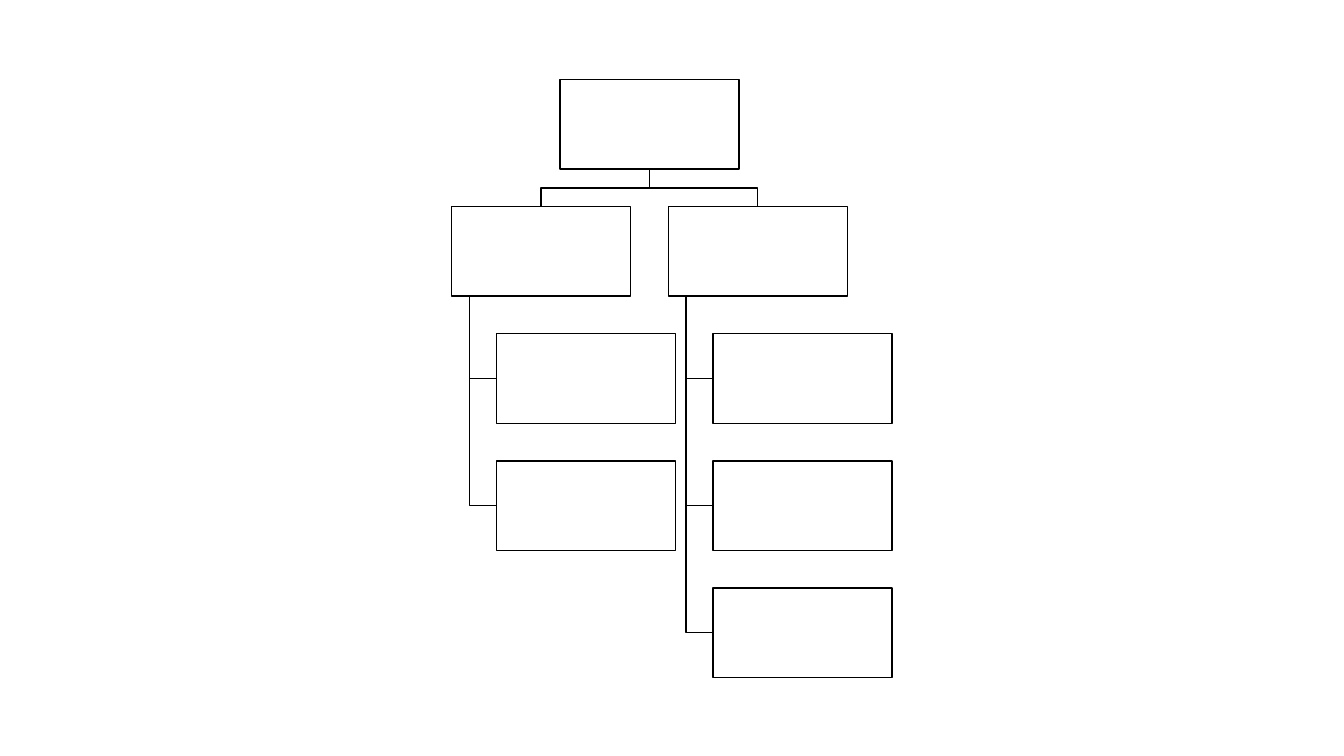
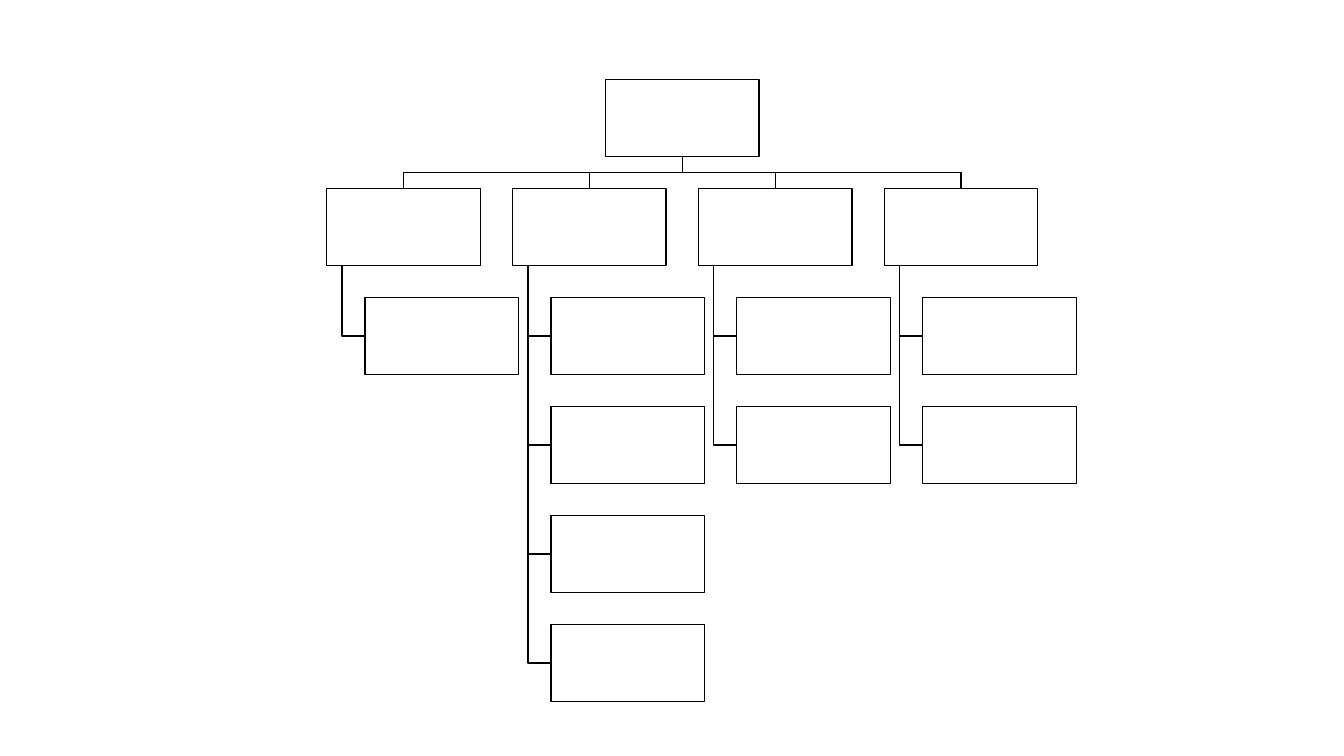
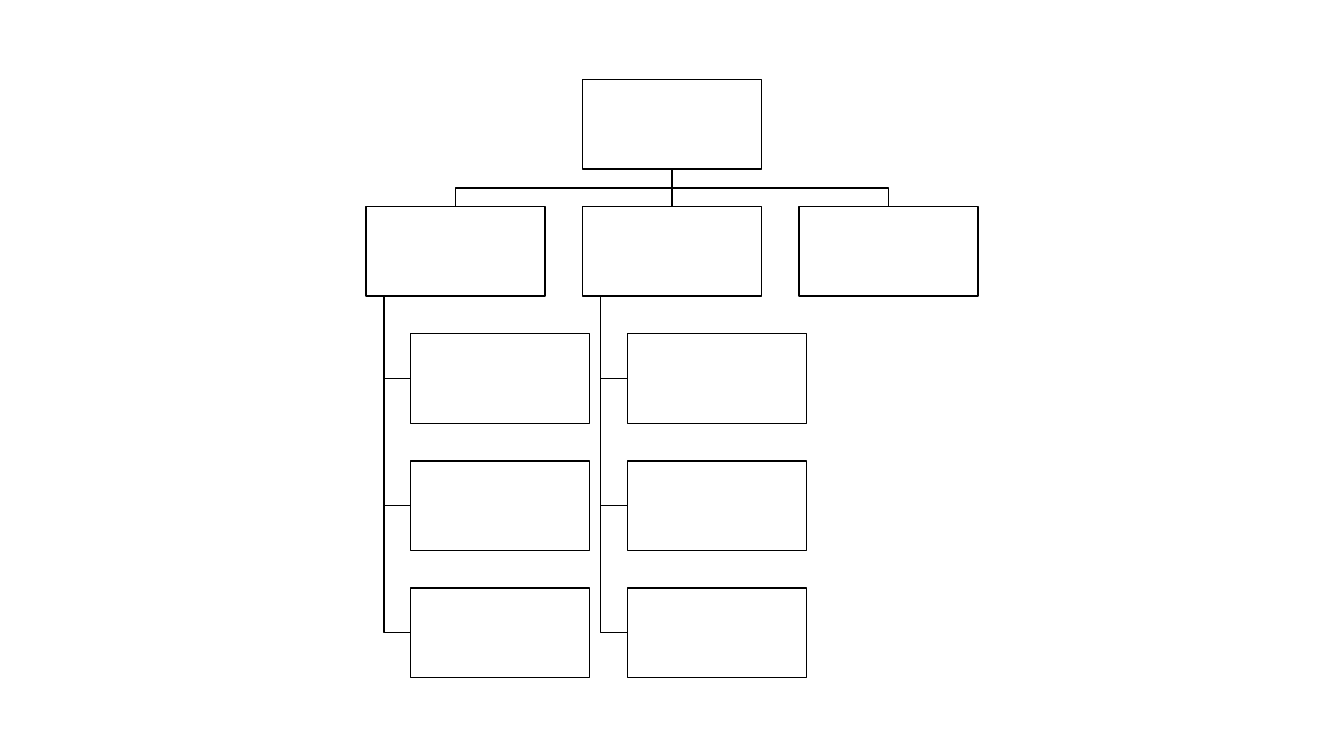
from lxml.etree import SubElement
from pptx import Presentation
from pptx.dml.color import RGBColor as Rgb
from pptx.enum.shapes import MSO_CONNECTOR as Conn, MSO_SHAPE as Shape
from pptx.oxml.ns import qn
from pptx.util import Inches, Pt

HUES = {"line": "000000", "fill": "FFFFFF"}
LINE = {"width": Pt(1)}
RATIO = {"high": 0.5, "gap": 0.21, "inset": 0.25, "stem": 0.1}
TOP = 0.79
CHARTS = [
    (4.48, 5.93, [2, 3]),
    (3.24, 6.17, [1, 4, 2, 2]),
    (3.63, 5.93, [3, 3, 0]),
]


def ink(item):
    item.line.color.rgb = Rgb.from_string(HUES["line"])
    for key, val in LINE.items():
        setattr(item.line, key, val)


def add_box(group, x, y, wide, high):
    box = group.shapes.add_shape(
        Shape.RECTANGLE, *(Inches(v) for v in (x, y, wide, high)))
    box.shadow.inherit = False
    box.fill.solid()
    box.fill.fore_color.rgb = Rgb.from_string(HUES["fill"])
    ink(box)
    return box


def add_bend(group, points):
    start, *rest = [(Inches(x), Inches(y)) for x, y in points]
    pen = group.shapes.build_freeform(*start)
    pen.add_line_segments(rest, close=False)
    bend = pen.convert_to_shape()
    bend.shadow.inherit = False
    bend.fill.background()
    ink(bend)


def add_link(group, upper, lower):
    link = group.shapes.add_connector(Conn.STRAIGHT, 0, 0, 0, 0)
    link.begin_connect(upper, 2)
    link.end_connect(lower, 0)
    ink(link)
    SubElement(link._element.spPr, qn("a:effectLst"))


def add_branch(group, x, y, wide, count):
    high, gap, inset, stem = (wide * val for val in RATIO.values())
    head = add_box(group, x, y, wide, high)
    for row in range(1, count + 1):
        top = y + row * (high + gap)
        add_box(group, x + inset, top, wide, high)
        mid = top + high / 2
        add_bend(group, [(x + stem, y + high), (x + stem, mid), (x + inset, mid)])
    return head


def add_chart(slide, left, top, height, counts):
    rows = max(counts) + 1
    wide = height / (rows * (RATIO["high"] + RATIO["gap"]) + RATIO["high"])
    high, gap = wide * RATIO["high"], wide * RATIO["gap"]
    step = wide + gap
    last = len(counts) - 1
    peak = left + last * step / 2
    group = slide.shapes.add_group_shape()
    root = add_box(group, peak, top, wide, high)
    low = top + high
    bar = low + gap / 2
    for col, count in enumerate(counts):
        x = left + col * step
        head = add_branch(group, x, low + gap, wide, count)
        if 2 * col == last:
            add_link(group, root, head)
        else:
            start, end = peak + wide / 2, x + wide / 2
            add_bend(group, [(start, low), (start, bar), (end, bar), (end, low + gap)])


def main():
    deck = Presentation()
    deck.slide_width, deck.slide_height = Inches(13.33), Inches(7.5)
    for left, height, counts in CHARTS:
        slide = deck.slides.add_slide(deck.slide_layouts[6])
        add_chart(slide, left, TOP, height, counts)
    deck.save("out.pptx")


if __name__ == "__main__":
    main()
